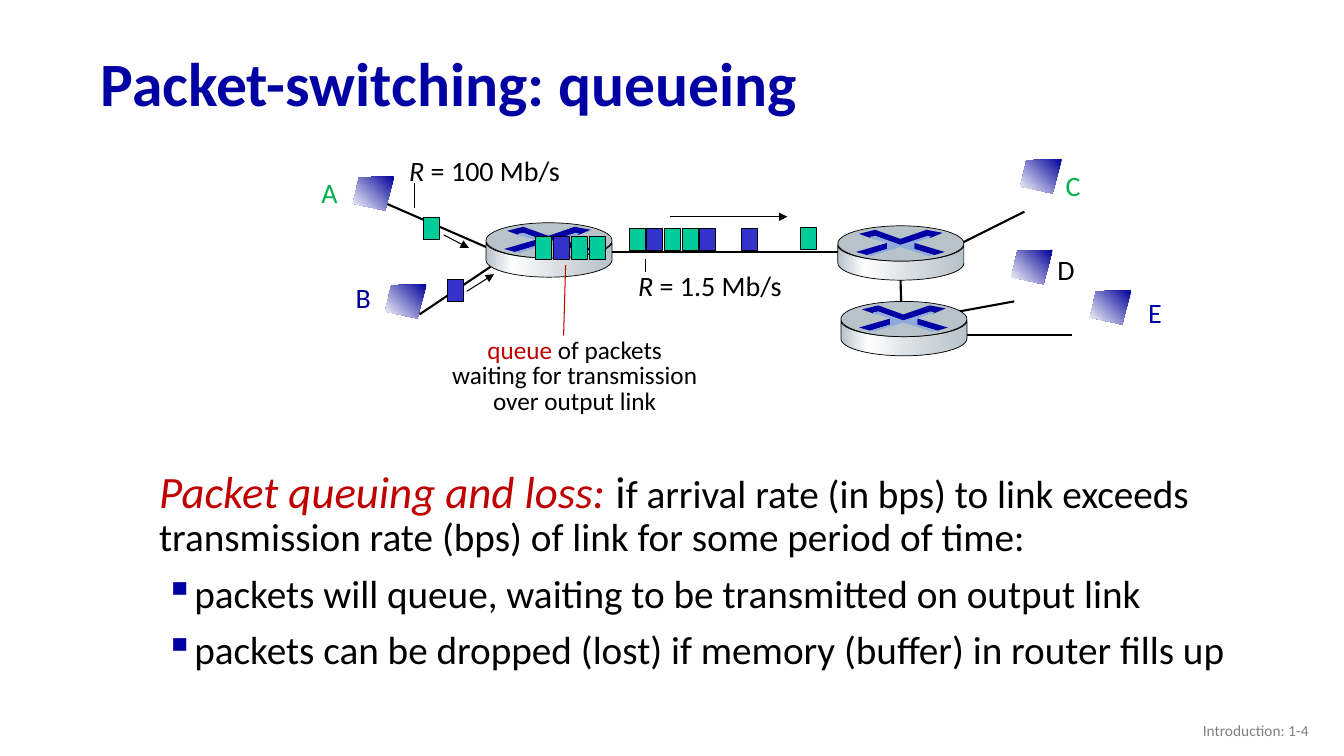
import copy
import math
import pptx
import pptx.util
import pptx.dml.color
import pptx.enum.shapes
import pptx.enum.text
import pptx.oxml.ns
import lxml.etree

Inches = pptx.util.Inches
Pt = pptx.util.Pt
RGBColor = pptx.dml.color.RGBColor
MSO_SHAPE = pptx.enum.shapes.MSO_SHAPE
PP_ALIGN = pptx.enum.text.PP_ALIGN
MSO_ANCHOR = pptx.enum.text.MSO_ANCHOR
qn = pptx.oxml.ns.qn

BLACK = RGBColor(0x00, 0x00, 0x00)
WHITE = RGBColor(0xFF, 0xFF, 0xFF)
NAVY = RGBColor(0x00, 0x00, 0xA3)
CROSS_NAVY = RGBColor(0x00, 0x00, 0xA8)
HOST_BLUE = RGBColor(0x00, 0x00, 0x99)
LEAF_GREEN = RGBColor(0x00, 0xB0, 0x50)
PACKET_GREEN = RGBColor(0x00, 0xCC, 0x99)
PACKET_BLUE = RGBColor(0x33, 0x33, 0xCC)
STEEL = RGBColor(0xB8, 0xC2, 0xC9)
PALE_STEEL = RGBColor(0xD6, 0xDC, 0xE0)
SKY = RGBColor(0x8F, 0xAA, 0xDC)
RED = RGBColor(0xC0, 0x00, 0x00)
GREY = RGBColor(0x80, 0x80, 0x80)

deck = pptx.Presentation()
deck.slide_width, deck.slide_height = Inches(13.33), Inches(7.5)
slide = deck.slides.add_slide(deck.slide_layouts[6])


def add_outline(left, top, corners, stops, angle=0):
    points = [(Inches(left + x), Inches(top + y)) for x, y in corners]
    builder = slide.shapes.build_freeform(*points[0])
    builder.add_line_segments(points[1:], close=True)
    outline = builder.convert_to_shape()
    outline.shadow.inherit = False
    outline.line.fill.background()
    if len(stops) == 1:
        outline.fill.solid()
        outline.fill.fore_color.rgb = stops[0][1]
        return outline
    outline.fill.gradient()
    outline.fill.gradient_angle = angle
    stop_list = next(outline._element.spPr.iter(qn("a:gsLst")))
    for _ in stops[2:]:
        stop_list.append(copy.deepcopy(stop_list[0]))
    for stop, (position, color) in zip(outline.fill.gradient_stops, stops):
        stop.position = position
        stop.color.rgb = color
    return outline


def add_line(start, end, width, color=BLACK, arrow=False):
    line = slide.shapes.add_connector(
        pptx.enum.shapes.MSO_CONNECTOR.STRAIGHT, *map(Inches, start + end))
    line.line.width = Pt(width)
    line.line.color.rgb = color
    if arrow:
        lxml.etree.SubElement(line.line._get_or_add_ln(), qn("a:tailEnd"), type="triangle")
    lxml.etree.SubElement(line._element.spPr, qn("a:effectLst"))


for start, end in [
    ((3.74, 1.98), (4.82, 2.45)), ((4.16, 3.12), (4.95, 2.59)),
    ((6.02, 2.5), (8.52, 2.5)), ((8.94, 3.1), (8.93, 2.7)),
    ((9.5, 2.43), (10.16, 2.1)), ((9.55, 3.32), (10.63, 3.32)),
    ((10.06, 2.99), (9.02, 3.18)),
]:
    add_line(start, end, 1.5)

host_corners = [(0.41, 0), (0.06, 0.01), (0, 0.27), (0.32, 0.34)]
for left, top in [(3.5, 1.75), (3.82, 2.82), (10.12, 1.58), (10.03, 2.48), (10.81, 2.88)]:
    add_outline(left, top, host_corners, [(0, HOST_BLUE), (1, WHITE)], 225)

arc = [math.pi * step / 24 for step in range(25)]
side_corners = [(0.625 + 0.625 * math.cos(t), 0.37 + 0.17 * math.sin(t)) for t in arc]
side_corners += [(0.625 - 0.625 * math.cos(t), 0.19 + 0.16 * math.sin(t)) for t in arc]
side_stops = [(0, STEEL), (0.21, WHITE), (0.6, PALE_STEEL), (1, STEEL)]
router_marks = [
    (NAVY, [(0.88, 0.04), (1.04, 0.07), (0.92, 0.12), (0.89, 0.11), (0.62, 0.19),
            (0.37, 0.1), (0.32, 0.12), (0.21, 0.08), (0.37, 0.04), (0.62, 0.13)]),
    (NAVY, [(0.76, 0.17), (1.06, 0.26), (0.96, 0.29), (0.75, 0.23)]),
    (CROSS_NAVY, [(0.49, 0.17), (0.49, 0.23), (0.29, 0.29), (0.18, 0.26)]),
    (SKY, [(0.32, 0.11), (0.37, 0.1), (0.62, 0.19), (0.89, 0.1), (0.93, 0.11),
           (0.76, 0.17), (0.76, 0.23), (0.95, 0.29), (0.9, 0.3), (0.62, 0.21),
           (0.33, 0.3), (0.29, 0.29), (0.49, 0.23), (0.49, 0.17), (0.32, 0.12)]),
]
for left, top in [(8.31, 2.24), (8.34, 2.99), (4.82, 2.21)]:
    side = add_outline(left, top, side_corners, side_stops)
    lid = slide.shapes.add_shape(
        MSO_SHAPE.OVAL, Inches(left), Inches(top), Inches(1.25), Inches(0.35))
    lid.shadow.inherit = False
    lid.fill.solid()
    lid.fill.fore_color.rgb = STEEL
    for edge in (side.line, lid.line):
        edge.color.rgb = BLACK
        edge.width = Pt(0.5)
    for color, corners in router_marks:
        add_outline(left, top, corners, [(0, color)])

for left, top, pitch, colors in [
    (6.24, 2.27, 0.175, "GBGGB"), (7.35, 2.27, 0, "B"), (7.94, 2.26, 0, "G"),
    (4.44, 2.77, 0, "B"), (4.2, 2.16, 0, "G"), (5.31, 2.35, 0.178, "GBGG"),
]:
    for index, letter in enumerate(colors):
        packet = slide.shapes.add_shape(
            MSO_SHAPE.RECTANGLE, Inches(left + index * pitch), Inches(top),
            Inches(0.16), Inches(0.22))
        packet.shadow.inherit = False
        packet.fill.solid()
        packet.fill.fore_color.rgb = PACKET_GREEN if letter == "G" else PACKET_BLUE
        packet.line.color.rgb = BLACK
        packet.line.width = Pt(0.75)

for start, end, color, arrow in [
    ((6.65, 2.15), (7.81, 2.15), BLACK, True),
    ((4.4, 2.33), (4.65, 2.46), BLACK, True),
    ((4.63, 2.89), (4.9, 2.72), BLACK, True),
    ((5.59, 3.33), (5.61, 2.63), RED, False),
    ((4.11, 2.06), (4.11, 1.82), BLACK, False),
    ((6.4, 2.7), (6.4, 2.57), BLACK, False),
]:
    add_line(start, end, 0.75, color, arrow)

TOP, MIDDLE = MSO_ANCHOR.TOP, MSO_ANCHOR.MIDDLE
LEFT, CENTER, RIGHT = PP_ALIGN.LEFT, PP_ALIGN.CENTER, PP_ALIGN.RIGHT
texts = [
    ((0.9, 0.37, 11.5, 0.98), MIDDLE, True, LEFT, 0.9, 44, NAVY,
     [[("Packet-switching: queueing", {"bold": True})]]),
    ((3.09, 1.69, 0.36, 0.44), TOP, False, LEFT, 1, 20, LEAF_GREEN, [[("A", {})]]),
    ((3.43, 2.73, 0.35, 0.44), TOP, False, LEFT, 1, 20, HOST_BLUE, [[("B", {})]]),
    ((10.47, 1.62, 0.35, 0.44), TOP, False, LEFT, 1, 20, LEAF_GREEN, [[("C", {})]]),
    ((10.39, 2.46, 0.44, 0.44), TOP, True, LEFT, 1, 20, BLACK, [[("D", {})]]),
    ((11.29, 2.88, 0.34, 0.44), TOP, False, LEFT, 1, 20, CROSS_NAVY, [[("E", {})]]),
    ((3.96, 1.47, 1.71, 0.44), TOP, False, LEFT, 1, 20, BLACK,
     [[("R", {"italic": True}), (" = 100 Mb/s", {})]]),
    ((6.23, 2.61, 1.64, 0.44), TOP, False, LEFT, 1, 20, BLACK,
     [[("R", {"italic": True}), (" = 1.5 Mb/s", {})]]),
    ((4.23, 3.31, 2.94, 0.88), TOP, True, CENTER, 0.85, 18, BLACK,
     [[("queue", {"color": RED}), (" of packets", {})],
      [("waiting for transmission over output link", {})]]),
    ((1.48, 4.61, 11.32, 2.44), TOP, True, LEFT, 0.9, 28, BLACK,
     [[("Packet queuing and loss: ", {"size": Pt(32), "color": RED, "italic": True}),
       ("i", {"size": Pt(32)}),
       ("f arrival rate (in bps) to link exceeds transmission rate (bps) of link "
        "for some period of time:", {})],
      [("packets will queue, waiting to be transmitted on output link", {"bullet": "▪"})],
      [("packets can be dropped (lost) if memory (buffer) in router fills up",
        {"bullet": "▪"})]]),
    ((10.08, 7.05, 3, 0.4), MIDDLE, True, RIGHT, 1, 11, GREY, [[("Introduction: 1-4", {})]]),
]
for box, anchor, wrap, align, spacing, size, color, paragraphs in texts:
    frame = slide.shapes.add_textbox(*map(Inches, box)).text_frame
    frame.word_wrap = wrap
    frame.vertical_anchor = anchor
    for index, runs in enumerate(paragraphs):
        paragraph = frame.add_paragraph() if index else frame.paragraphs[0]
        paragraph.alignment = align
        paragraph.line_spacing = spacing
        bullet = runs[0][1].get("bullet")
        if bullet:
            paragraph.space_before = Pt(10)
            properties = paragraph._p.get_or_add_pPr()
            properties.set("marL", str(Inches(0.31)))
            properties.set("indent", str(Inches(-0.25)))
            bullet_color = lxml.etree.SubElement(properties, qn("a:buClr"))
            lxml.etree.SubElement(bullet_color, qn("a:srgbClr"), val=str(NAVY))
            lxml.etree.SubElement(properties, qn("a:buChar"), char=bullet)
        paragraph.font.name = "Calibri"
        paragraph.font.size = Pt(size)
        paragraph.font.color.rgb = color
        for words, style in runs:
            run = paragraph.add_run()
            run.text = words
            for key, value in style.items():
                if key == "color":
                    run.font.color.rgb = value
                elif key != "bullet":
                    setattr(run.font, key, value)

deck.save("out.pptx")
